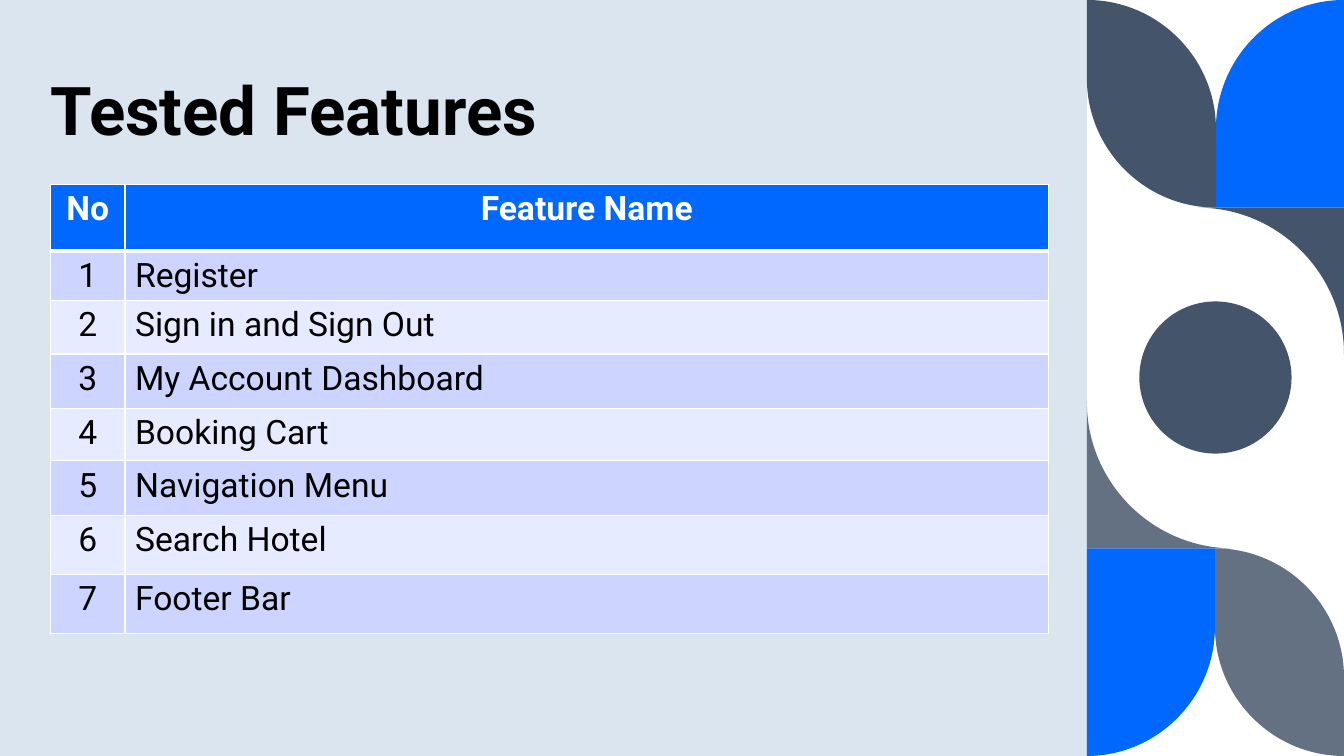
from lxml import etree
from pptx import Presentation
from pptx.dml.color import RGBColor
from pptx.enum.shapes import MSO_SHAPE
from pptx.enum.text import MSO_ANCHOR, MSO_AUTO_SIZE, PP_ALIGN
from pptx.oxml.ns import qn
from pptx.util import Pt

LEFT, CENTER = PP_ALIGN.LEFT, PP_ALIGN.CENTER
BOTTOM = MSO_ANCHOR.BOTTOM
NO_AUTOFIT = MSO_AUTO_SIZE.NONE
RECTANGLE, OVAL = MSO_SHAPE.RECTANGLE, MSO_SHAPE.OVAL

PX = 9144
WIDTH, HEIGHT = 1333, 750
PANEL_WIDTH = 1078
ROUNDNESS = 0.55
FONT = "Roboto"
COLORS = {
    "panel": "DAE5EF",
    "slate": "44546A",
    "gray": "637183",
    "blue": "0068FF",
    "odd": "CCD4FF",
    "even": "E7EBFF",
    "white": "FFFFFF",
    "black": "000000",
}


def write_text(frame, text, size=24, color="black", bold=False, align=LEFT, spacing=None):
    para = frame.paragraphs[0]
    para.alignment = align
    para.line_spacing = spacing
    span = para.add_run()
    span.text = text
    span.font.name = FONT
    span.font.size = Pt(size)
    span.font.bold = bold
    span.font.color.rgb = RGBColor.from_string(COLORS[color])


def quarter_arc(start, corner, end):
    handles = [
        tuple(a + ROUNDNESS * (c - a) for a, c in zip(anchor, corner))
        for anchor in (start, end)
    ]
    return [start, *handles, end]


deck = Presentation()
deck.slide_width = WIDTH * PX
deck.slide_height = HEIGHT * PX
page = deck.slides.add_slide(deck.slide_layouts[5])

leaf = (quarter_arc((1078, 0), (1206, 0), (1206, 128))
        + quarter_arc((1206, 206), (1078, 206), (1078, 78)))
wedge = quarter_arc((1188, 206), (1333, 206), (1333, 351)) + [(1333, 206)]
arch = quarter_arc((1206, 128), (1206, 0), (1333, 0)) + [(1333, 206), (1206, 206)]

ornaments = []
for turned, shade in ((False, "slate"), (True, "gray")):
    for outline, arc_starts, color in (
        (leaf, (0, 4), shade), (wedge, (0,), shade), (arch, (0,), "blue"),
    ):
        points = [
            (PANEL_WIDTH + WIDTH - x, HEIGHT - y) if turned else (x, y)
            for x, y in outline
        ]
        points = [(round(x * PX), round(y * PX)) for x, y in points]
        builder = page.shapes.build_freeform(*points[0])
        builder.add_line_segments(points[1:], close=True)
        ornament = builder.convert_to_shape()
        segments = list(ornament._element.iter(qn("a:lnTo")))
        for start in arc_starts:
            curve, *rest = segments[start:start + 3]
            curve.tag = qn("a:cubicBezTo")
            for segment in rest:
                curve.append(segment[0])
                segment.getparent().remove(segment)
        ornaments.append((ornament, color))

panel = page.shapes.add_shape(RECTANGLE, 0, 0, PANEL_WIDTH * PX, HEIGHT * PX)
circle = page.shapes.add_shape(OVAL, 1130 * PX, 299 * PX, 151 * PX, 151 * PX)
for shape, color in ornaments + [(panel, "panel"), (circle, "slate")]:
    shape.shadow.inherit = False
    shape.fill.solid()
    shape.fill.fore_color.rgb = RGBColor.from_string(COLORS[color])
    shape.line.fill.background()
page.shapes._spTree.insert(2, panel._element)

title = page.shapes.title
title.left, title.top, title.width, title.height = (n * PX for n in (50, 46, 919, 108))
title_frame = title.text_frame
title_frame.auto_size = NO_AUTOFIT
title_frame.vertical_anchor = BOTTOM
title_frame.margin_left = 0
title_frame.margin_right = 10 * PX
title_frame.margin_top = title_frame.margin_bottom = 5 * PX
write_text(title_frame, "Tested Features", size=48, bold=True, spacing=0.9)

features = [
    "Register",
    "Sign in and Sign Out",
    "My Account Dashboard",
    "Booking Cart",
    "Navigation Menu",
    "Search Hotel",
    "Footer Bar",
]
rows = [("No", "Feature Name")] + [(str(n), name) for n, name in enumerate(features, 1)]
column_widths = [74, 916]
row_heights = [66, 49, 53, 54, 52, 54, 59, 58]
table = page.shapes.add_table(
    len(rows), len(column_widths), 50 * PX, 183 * PX,
    sum(column_widths) * PX, sum(row_heights) * PX,
).table
for column, width in zip(table.columns, column_widths):
    column.width = width * PX

for r, (values, height) in enumerate(zip(rows, row_heights)):
    header = r == 0
    table.rows[r].height = height * PX
    fill_color = "blue" if header else "odd" if r % 2 else "even"
    top_width = 3 if r == 1 else 1
    bottom_width = 3 if header else 1
    borders = {"a:lnL": 1, "a:lnR": 1, "a:lnT": top_width, "a:lnB": bottom_width}
    for c, value in enumerate(values):
        cell = table.cell(r, c)
        properties = cell._tc.get_or_add_tcPr()
        for tag, points in borders.items():
            border = etree.SubElement(properties, qn(tag), w=str(Pt(points)))
            border_fill = etree.SubElement(border, qn("a:solidFill"))
            etree.SubElement(border_fill, qn("a:srgbClr"), val=COLORS["white"])
        cell.fill.solid()
        cell.fill.fore_color.rgb = RGBColor.from_string(COLORS[fill_color])
        write_text(
            cell.text_frame, value, bold=header,
            color="white" if header else "black",
            align=CENTER if header or c == 0 else LEFT,
        )

deck.save("out.pptx")
